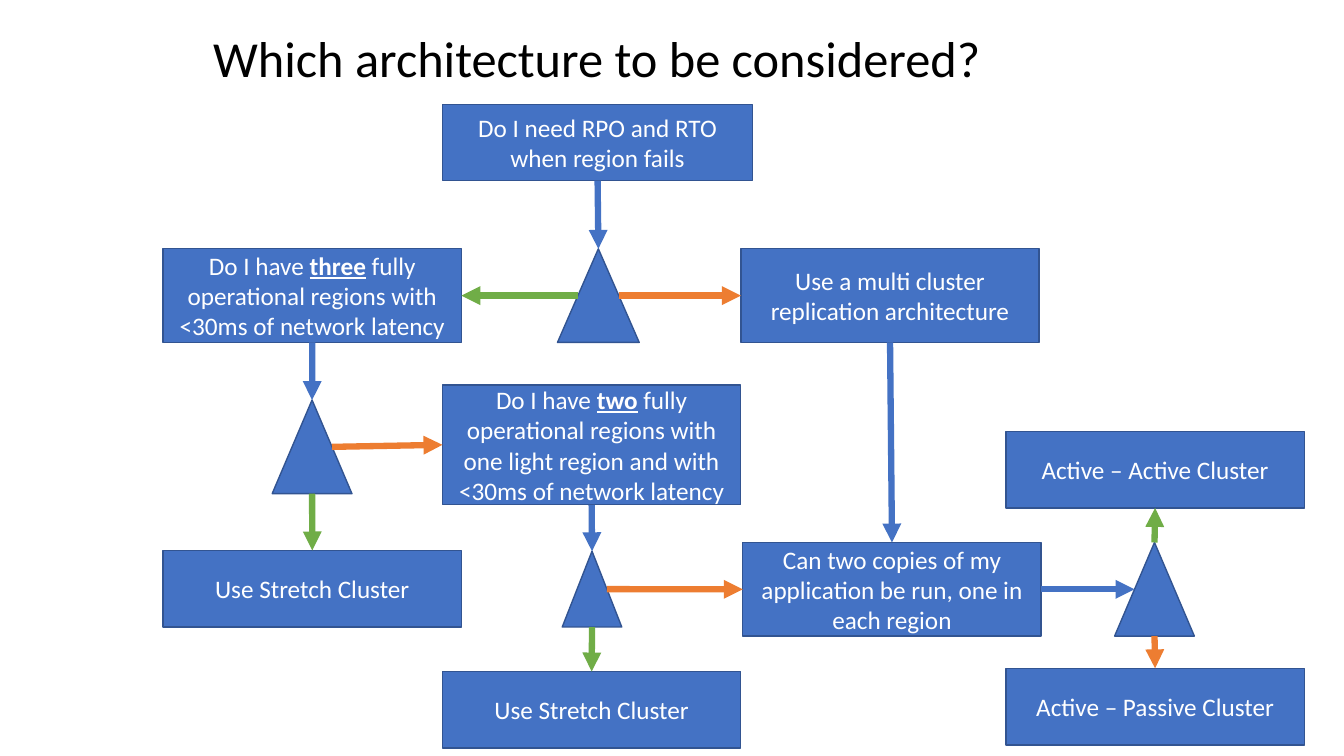
from lxml import etree
from pptx import Presentation
from pptx.dml.color import RGBColor
from pptx.enum.shapes import MSO_CONNECTOR, MSO_SHAPE
from pptx.enum.text import MSO_ANCHOR, PP_ALIGN
from pptx.oxml.ns import qn
from pptx.util import Cm, Pt

RECT, TRI = MSO_SHAPE.RECTANGLE, MSO_SHAPE.ISOSCELES_TRIANGLE
LINE = MSO_CONNECTOR.STRAIGHT
MIDDLE, BOTTOM = MSO_ANCHOR.MIDDLE, MSO_ANCHOR.BOTTOM
CENTER = PP_ALIGN.CENTER

# Content: lengths in cm, text as (words, stressed) runs
TITLE = "Which architecture to be considered?"
TITLE_BOX = (3.07, 0.79, 23.95, 1.57)
WIDE, TALL, LOW = 7.52, 2.36, 1.93
BOXES = {
    "need": (11.15, 2.64, 7.82, 1.91,
             [("Do I need RPO and RTO when region fails", False)]),
    "three": (4.11, 6.27, WIDE, TALL,
              [("Do I have ", False), ("three", True),
               (" fully operational regions with <30ms of network latency", False)]),
    "multi": (18.67, 6.27, WIDE, TALL,
              [("Use a multi cluster replication architecture", False)]),
    "two": (11.15, 9.7, WIDE, 3.02,
            [("Do I have ", False), ("two", True),
             (" fully operational regions with one light region and with "
              "<30ms of network latency", False)]),
    "stretch three": (4.11, 13.87, WIDE, LOW, [("Use Stretch Cluster", False)]),
    "stretch two": (11.15, 16.92, WIDE, LOW, [("Use Stretch Cluster", False)]),
    "copies": (18.72, 13.67, WIDE, TALL,
               [("Can two copies of my application be run, one in each region", False)]),
    "active": (25.35, 10.87, WIDE, LOW, [("Active – Active Cluster", False)]),
    "passive": (25.35, 16.84, WIDE, LOW, [("Active – Passive Cluster", False)]),
}
FORKS = {
    "need?": (14.05, 6.27, 2.06, TALL),
    "three?": (6.86, 10.08, 2.01, TALL),
    "two?": (14.17, 13.89, 1.5, 1.91),
    "copies?": (28.09, 13.67, 2.01, TALL),
}
# From part and side, to part and side, meaning
ARROWS = [
    ("need", "bottom", "need?", "top", "next"),
    ("need?", "left", "three", "right", "yes"),
    ("need?", "right", "multi", "left", "no"),
    ("three", "bottom", "three?", "top", "next"),
    ("three?", "bottom", "stretch three", "top", "yes"),
    ("three?", "right", "two", "left", "no"),
    ("two", "bottom", "two?", "top", "next"),
    ("two?", "bottom", "stretch two", "top", "yes"),
    ("two?", "right", "copies", "left", "no"),
    ("multi", "bottom", "copies", "top", "next"),
    ("copies", "right", "copies?", "left", "next"),
    ("copies?", "top", "active", "bottom", "yes"),
    ("copies?", "bottom", "passive", "top", "no"),
]
THEME = {
    "font": "Calibri", "title": 36, "body": 18, "edge": 1, "arrow": 4.5,
    "ink": "000000", "pale": "FFFFFF", "fill": "4472C4", "line": "325491",
    "next": "4472C4", "yes": "70AD47", "no": "ED7D31",
}
SIDES = {"top": (0.5, 0), "bottom": (0.5, 1), "left": (0, 0.5), "right": (1, 0.5)}
SLOPES = {"left": (0.25, 0.5), "right": (0.75, 0.5)}


def color(name):
    return RGBColor.from_string(THEME[name])


def apply(item, values):
    for name, value in values.items():
        setattr(item, name, value)


def write(shape, runs, size, ink, anchor, space=None):
    frame = shape.text_frame
    apply(frame, {"word_wrap": True, "vertical_anchor": anchor})
    para = frame.paragraphs[0]
    apply(para, {"alignment": CENTER, "line_spacing": space})
    for words, stress in runs:
        run = para.add_run()
        run.text = words
        apply(run.font, {"name": THEME["font"], "size": Pt(THEME[size]),
                         "bold": stress, "underline": stress})
        run.font.color.rgb = color(ink)


def block(slide, kind, spot):
    shape = slide.shapes.add_shape(kind, *map(Cm, spot))
    shape.shadow.inherit = False
    shape.fill.solid()
    shape.fill.fore_color.rgb = color("fill")
    shape.line.color.rgb = color("line")
    shape.line.width = Pt(THEME["edge"])
    return shape


def point(name, side):
    fork = name in FORKS
    left, top, width, height = FORKS[name] if fork else BOXES[name][:4]
    across, down = SLOPES.get(side, SIDES[side]) if fork else SIDES[side]
    return Cm(left + across * width), Cm(top + down * height)


def arrow(slide, start, end, role):
    link = slide.shapes.add_connector(LINE, *start, *end)
    link.line.color.rgb = color(role)
    link.line.width = Pt(THEME["arrow"])
    etree.SubElement(link.line._get_or_add_ln(), qn("a:tailEnd"), type="triangle")
    etree.SubElement(link._element.spPr, qn("a:effectLst"))


def main():
    deck = Presentation()
    apply(deck, {"slide_width": Cm(33.87), "slide_height": Cm(19.05)})
    slide = deck.slides.add_slide(deck.slide_layouts[6])

    # Title
    title = slide.shapes.add_textbox(*map(Cm, TITLE_BOX))
    write(title, [(TITLE, False)], "title", "ink", BOTTOM, 0.9)

    # Questions, answers and forks
    for *spot, runs in BOXES.values():
        write(block(slide, RECT, spot), runs, "body", "pale", MIDDLE)
    for spot in FORKS.values():
        block(slide, TRI, spot)

    # Arrows
    for source, out, target, into, role in ARROWS:
        arrow(slide, point(source, out), point(target, into), role)

    deck.save("out.pptx")


if __name__ == "__main__":
    main()
